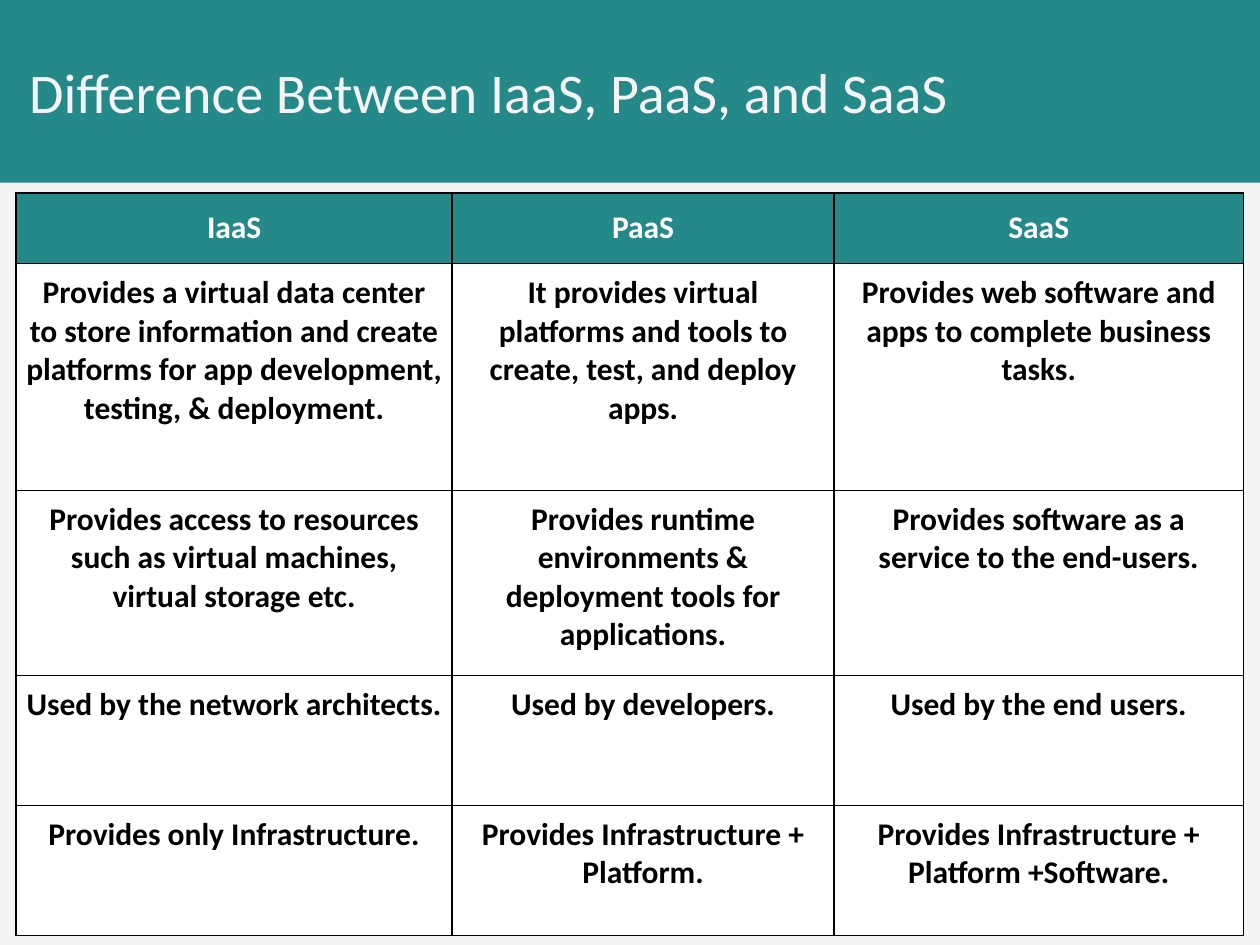
from lxml.etree import SubElement
from pptx import Presentation
from pptx.dml.color import RGBColor
from pptx.enum.shapes import MSO_SHAPE
from pptx.enum.text import MSO_ANCHOR, PP_ALIGN
from pptx.oxml.ns import qn
from pptx.util import Pt

COLORS = {"teal": "258989", "pale": "F4F4F5", "white": "FFFFFF", "black": "000000"}
ROWS = [
    ["IaaS", "PaaS", "SaaS"],
    ["Provides a virtual data center to store information and create "
     "platforms for app development, testing, & deployment.",
     "It provides virtual platforms and tools to create, test, and deploy apps.",
     "Provides web software and apps to complete business tasks."],
    ["Provides access to resources such as virtual machines, virtual storage etc.",
     "Provides runtime environments & deployment tools for applications.",
     "Provides software as a service to the end-users."],
    ["Used by the network architects.", "Used by developers.", "Used by the end users."],
    ["Provides only Infrastructure.", "Provides Infrastructure + Platform.",
     "Provides Infrastructure + Platform +Software."],
]
WIDTHS = [249.2, 218.2, 234]
HEIGHTS = [40.3, 129.6, 105.8, 74.2, 74.2]


def add_text(para, text, size, color, bold=False):
    run = para.add_run()
    run.text = text
    run.font.name = "Calibri"
    run.font.size = Pt(size)
    run.font.bold = bold
    run.font.color.rgb = RGBColor.from_string(COLORS[color])


def add_borders(cell):
    """Draw 1 pt black lines on all four sides; call before the fill is set."""
    props = cell._tc.get_or_add_tcPr()
    for side in ("a:lnL", "a:lnR", "a:lnT", "a:lnB"):
        line = SubElement(props, qn(side), w=str(Pt(1)))
        fill = SubElement(line, qn("a:solidFill"))
        SubElement(fill, qn("a:srgbClr"), val=COLORS["black"])


prs = Presentation()
prs.slide_width, prs.slide_height = Pt(720), Pt(540)
slide = prs.slides.add_slide(prs.slide_layouts[5])
slide.background.fill.solid()
slide.background.fill.fore_color.rgb = RGBColor.from_string(COLORS["pale"])

# Title band, placed behind the title
band = slide.shapes.add_shape(MSO_SHAPE.RECTANGLE, 0, 0, Pt(720), Pt(104.4))
band.shadow.inherit = False
band.fill.solid()
band.fill.fore_color.rgb = RGBColor.from_string(COLORS["teal"])
band.line.fill.background()
slide.shapes._spTree.insert(2, band._element)

title = slide.shapes.title
title.left, title.top, title.width, title.height = Pt(9.4), Pt(0), Pt(683.3), Pt(104.4)
frame = title.text_frame
frame.vertical_anchor = MSO_ANCHOR.MIDDLE
frame.paragraphs[0].alignment = PP_ALIGN.LEFT
add_text(frame.paragraphs[0], "Difference Between IaaS, PaaS, and SaaS", 32, "pale")

# Comparison table
table = slide.shapes.add_table(
    len(ROWS), len(WIDTHS), Pt(9.2), Pt(110.4), Pt(sum(WIDTHS)), Pt(sum(HEIGHTS))
).table
for col, width in zip(table.columns, WIDTHS):
    col.width = Pt(width)
for row, height in zip(table.rows, HEIGHTS):
    row.height = Pt(height)

for i, texts in enumerate(ROWS):
    head = i == 0
    inset = Pt(8.6 if head else 5.7)
    for j, text in enumerate(texts):
        cell = table.cell(i, j)
        cell.margin_left = cell.margin_right = inset
        cell.margin_top = cell.margin_bottom = inset
        add_borders(cell)
        cell.fill.solid()
        cell.fill.fore_color.rgb = RGBColor.from_string(COLORS["teal" if head else "white"])
        para = cell.text_frame.paragraphs[0]
        para.alignment = PP_ALIGN.CENTER
        add_text(para, text, 18, "white" if head else "black", bold=True)

prs.save("out.pptx")
